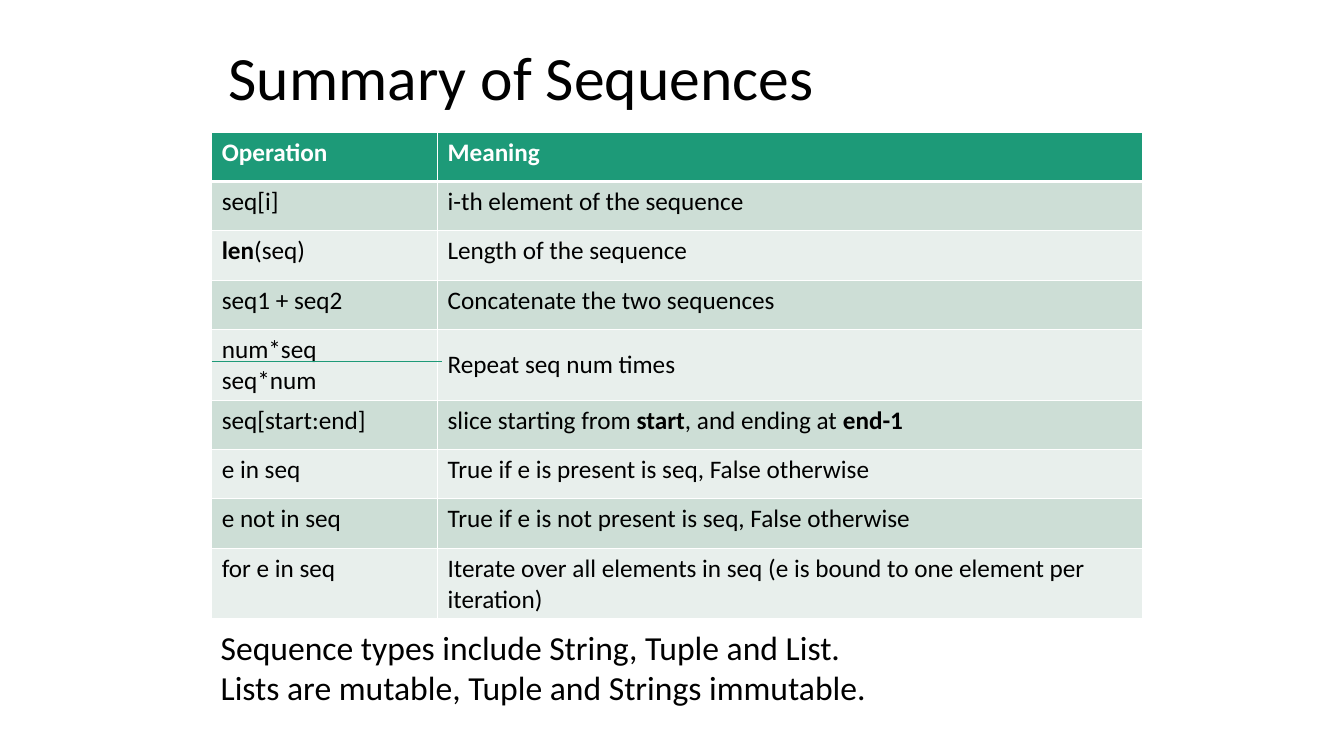
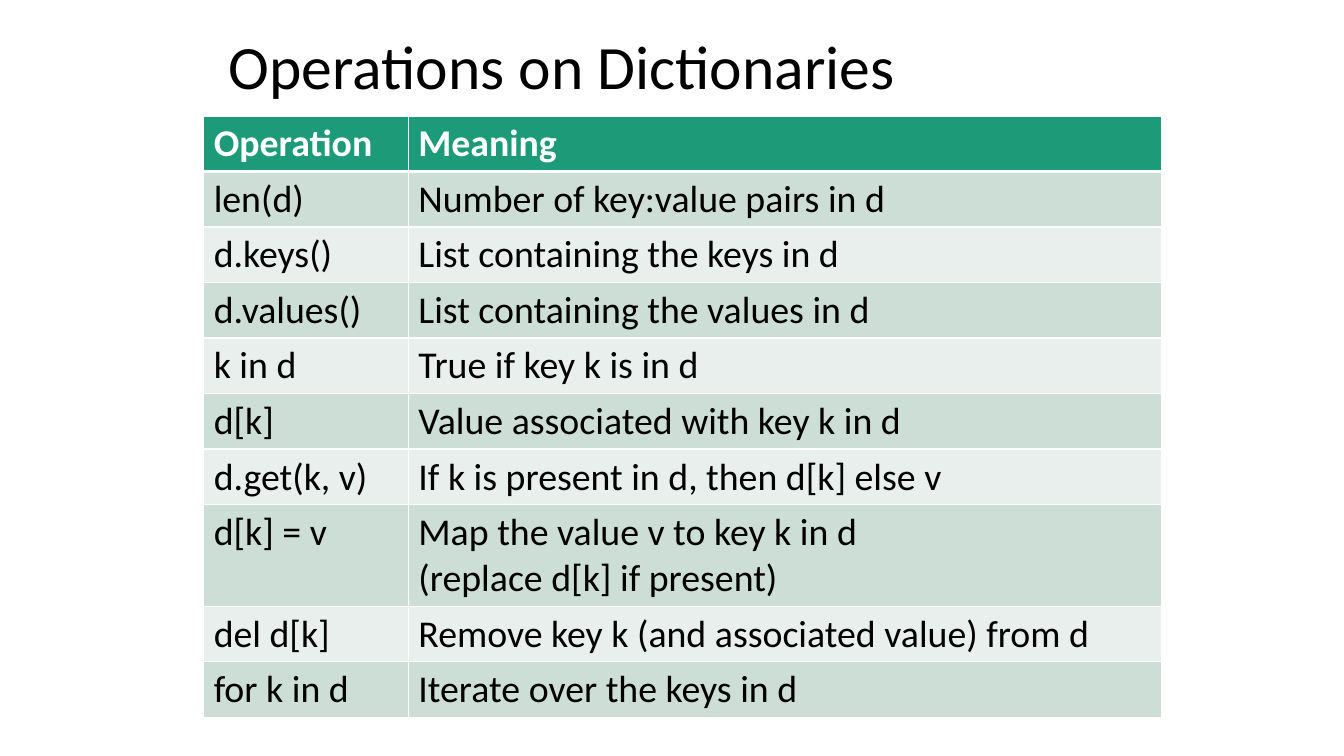
from lxml.etree import SubElement as Sub
from pptx import Presentation as Deck
from pptx.dml.color import RGBColor as Rgb
from pptx.enum.shapes import MSO_CONNECTOR as Link
from pptx.enum.text import MSO_ANCHOR as Anchor
from pptx.oxml.ns import qn
from pptx.util import Inches, Pt

HUES = {"head": "1D9A78", "odd": "CDDED6", "even": "E8EFEC",
        "ink": "000000", "white": "FFFFFF"}


class Pen:
    """Hold the shared style and draw on the current slide."""

    font = "Calibri"

    def __init__(self):
        self.deck = Deck()
        self.deck.slide_width = Inches(13.33)
        self.deck.slide_height = Inches(7.5)
        self.slide = None

    def hue(self, name):
        return Rgb.from_string(HUES[name])

    def page(self, title, top, high):
        self.slide = self.deck.slides.add_slide(self.deck.slide_layouts[6])
        frame = self.text([title], (2.17, top, 9, high), 44)
        frame.vertical_anchor = Anchor.MIDDLE
        frame.paragraphs[0].line_spacing = 0.9

    def fill(self, frame, lines, size, hue="ink", bold=False):
        for i, line in enumerate(lines):
            para = frame.paragraphs[0] if i == 0 else frame.add_paragraph()
            para.font.name = self.font
            para.font.size = Pt(size)
            para.font.bold = bold
            para.font.color.rgb = self.hue(hue)
            for j, part in enumerate(line.split("**")):
                if part:
                    run = para.add_run()
                    run.text = part
                    if j % 2:
                        run.font.bold = True

    def text(self, lines, box, size):
        frame = self.slide.shapes.add_textbox(*map(Inches, box)).text_frame
        frame.word_wrap = True
        self.fill(frame, lines, size)
        return frame

    def edge(self, cell, side, width):
        props = cell._tc.get_or_add_tcPr()
        line = Sub(props, qn(f"a:ln{side}"), w=str(Pt(width)))
        fill = Sub(line, qn("a:solidFill"))
        Sub(fill, qn("a:srgbClr"), val=HUES["white"])

    def table(self, rows, spot, wide, highs, size):
        box = (*spot, sum(wide), sum(highs))
        grid = self.slide.shapes.add_table(
            len(rows), len(wide), *map(Inches, box)).table
        for col, width in zip(grid.columns, wide):
            col.width = Inches(width)
        for i, (row, high) in enumerate(zip(rows, highs)):
            grid.rows[i].height = Inches(high)
            band = "head" if i == 0 else "odd" if i % 2 else "even"
            for j, words in enumerate(row):
                cell = grid.cell(i, j)
                for side in "LRTB":
                    thick = (i, side) in ((0, "B"), (1, "T"))
                    self.edge(cell, side, 3 if thick else 1)
                cell.fill.solid()
                cell.fill.fore_color.rgb = self.hue(band)
                self.fill(cell.text_frame, words.split("\n"), size,
                          "ink" if i else "white", i == 0)
        return grid

    def line(self, start, end, hue, width):
        rule = self.slide.shapes.add_connector(
            Link.STRAIGHT, *map(Inches, start + end))
        rule.line.color.rgb = self.hue(hue)
        rule.line.width = Pt(width)
        Sub(rule._element.spPr, qn("a:effectLst"))


HEAD = ("Operation", "Meaning")

SEQS = [
    HEAD,
    ("seq[i]", "i-th element of the sequence"),
    ("**len**(seq)", "Length of the sequence"),
    ("seq1 + seq2", "Concatenate the two sequences"),
    ("num*seq\nseq*num", "Repeat seq num times"),
    ("seq[start:end]", "slice starting from **start**, and ending at **end-1**"),
    ("e in seq", "True if e is present is seq, False otherwise"),
    ("e not in seq", "True if e is not present is seq, False otherwise"),
    ("for e in seq", "Iterate over all elements in seq "
     "(e is bound to one element per iteration)"),
]

DICTS = [
    HEAD,
    ("len(d)", "Number of key:value pairs in d"),
    ("d.keys()", "List containing the keys in d"),
    ("d.values()", "List containing the values in d"),
    ("k in d", "True if key k is in d"),
    ("d[k]", "Value associated with key k in d"),
    ("d.get(k, v)", "If k is present in d, then d[k] else v"),
    ("d[k] = v", "Map the value v to key k in d\n(replace d[k] if present)"),
    ("del d[k]", "Remove key k (and associated value) from d"),
    ("for k in d", "Iterate over the keys in d"),
]


def main():
    pen = Pen()

    pen.page("Summary of Sequences", 0.3, 1)
    highs = [0.7 if i in (4, 8) else 0.49 for i in range(len(SEQS))]
    grid = pen.table(SEQS, (2.1, 1.31), (2.24, 6.99), highs, 18)
    cell = grid.cell(4, 1)
    cell.vertical_anchor = Anchor.MIDDLE
    cell.text_frame.paragraphs[0].line_spacing = 0.9
    pen.line((2.1, 3.59), (4.38, 3.59), "head", 0.5)
    pen.text(["Sequence types include String, Tuple and List.",
              "Lists are mutable, Tuple and Strings immutable."],
             (2.09, 6.17, 9.08, 0.9), 24)

    pen.page("Operations on Dictionaries", 0.06, 1.25)
    highs = [1.01 if i == 7 else 0.55 for i in range(len(DICTS))]
    pen.table(DICTS, (2.02, 1.15), (2.03, 7.47), highs, 27)

    pen.deck.save("out.pptx")


if __name__ == "__main__":
    main()
